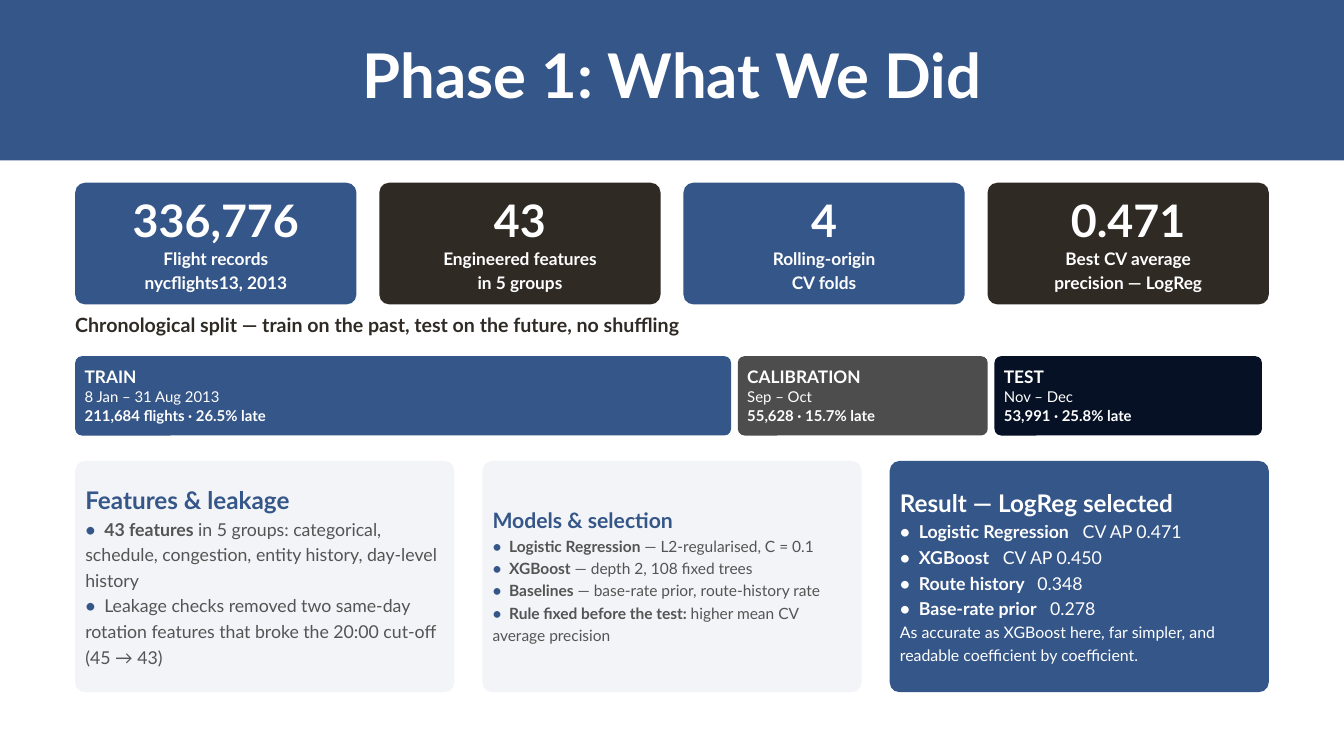
from lxml import etree
from pptx import Presentation
from pptx.dml.color import RGBColor
from pptx.enum.shapes import MSO_SHAPE
from pptx.enum.text import MSO_ANCHOR, PP_ALIGN
from pptx.oxml.ns import qn
from pptx.util import Pt

RECTANGLE, ROUNDED = MSO_SHAPE.RECTANGLE, MSO_SHAPE.ROUNDED_RECTANGLE
LEFT, CENTER = PP_ALIGN.LEFT, PP_ALIGN.CENTER
TOP, MIDDLE = MSO_ANCHOR.TOP, MSO_ANCHOR.MIDDLE

BLUE, BROWN, GREY, NAVY = "355688", "2F2A24", "4D4D4D", "071125"
WHITE, PALE, BODY = "FFFFFF", "F3F4F7", "545454"
SLIDE_WIDTH, SLIDE_HEIGHT = 1440, 810
MARGIN = 80.6
CONTENT_WIDTH = SLIDE_WIDTH - 2 * MARGIN
CORNER_INSET = 0.29

TITLE = "Phase 1: What We Did"
SPLIT_HEADING = "Chronological split — train on the past, test on the future, no shuffling"

CARDS = [
    ("336,776", "Flight records", "nycflights13, 2013", BLUE),
    ("43", "Engineered features", "in 5 groups", BROWN),
    ("4", "Rolling-origin", "CV folds", BLUE),
    ("0.471", "Best CV average", "precision — LogReg", BROWN),
]
SPLITS = [
    ("TRAIN", "8 Jan – 31 Aug 2013", "211,684 flights · 26.5% late", BLUE, 702.7),
    ("CALIBRATION", "Sep – Oct", "55,628 · 15.7% late", GREY, 267.8),
    ("TEST", "Nov – Dec", "53,991 · 25.8% late", NAVY, 286.6),
]
PANELS = [
    {
        "heading": "Features & leakage", "heading_size": 26, "heading_line": 34.3,
        "size": 19, "line": 27.4, "fill": PALE, "accent": BLUE, "color": BODY,
        "bullets": [
            ("43 features", " in 5 groups: categorical, schedule, congestion, "
             "entity history, day-level history", None),
            ("", "Leakage checks removed two same-day rotation features that "
             "broke the 20:00 cut-off (45 → 43)", None),
        ],
        "closing": "",
    },
    {
        "heading": "Models & selection", "heading_size": 22.7, "heading_line": 30,
        "size": 16.6, "line": 23.9, "fill": PALE, "accent": BLUE, "color": BODY,
        "bullets": [
            ("Logistic Regression", " — L2-regularised, C = 0.1", None),
            ("XGBoost", " — depth 2, 108 fixed trees", None),
            ("Baselines", " — base-rate prior, route-history rate", None),
            ("Rule fixed before the test:", " higher mean CV average precision", None),
        ],
        "closing": "",
    },
    {
        "heading": "Result — LogReg selected", "heading_size": 26, "heading_line": 34.3,
        "size": 19, "line": 27.4, "fill": BLUE, "accent": WHITE, "color": WHITE,
        "bullets": [
            ("Logistic Regression", "CV AP 0.471", 196),
            ("XGBoost", "CV AP 0.450", 110.5),
            ("Route history", "0.348", 147.5),
            ("Base-rate prior", "0.278", 161),
        ],
        "closing": "As accurate as XGBoost here, far simpler, and readable "
                   "coefficient by coefficient.",
    },
]


def rgb(color):
    return RGBColor.from_string(color)


def add_block(slide, kind, left, top, width, height, fill, radius=0):
    shape = slide.shapes.add_shape(kind, Pt(left), Pt(top), Pt(width), Pt(height))
    shape.shadow.inherit = False
    shape.fill.solid()
    shape.fill.fore_color.rgb = rgb(fill)
    shape.line.fill.background()
    if radius:
        shape.adjustments[0] = radius / min(width, height)
    return shape


def prepare_frame(shape, anchor, side=0, bottom=0):
    frame = shape.text_frame
    frame.word_wrap = True
    frame.vertical_anchor = anchor
    frame.margin_left = frame.margin_right = Pt(side)
    frame.margin_top, frame.margin_bottom = Pt(0), Pt(bottom)
    return frame


def add_card(slide, left, top, width, height, fill, radius, inset, lift):
    shape = add_block(slide, ROUNDED, left, top, width, height, fill, radius)
    return prepare_frame(shape, MIDDLE, inset - CORNER_INSET * radius, lift)


def add_text(slide, top, height):
    box = slide.shapes.add_textbox(Pt(MARGIN), Pt(top), Pt(CONTENT_WIDTH), Pt(height))
    return prepare_frame(box, TOP)


def add_paragraph(frame, runs, size, line, color, bold=None, align=LEFT, tabs=()):
    first = frame.paragraphs[0]
    paragraph = frame.add_paragraph() if first.runs else first
    paragraph.alignment = align
    paragraph.line_spacing = Pt(line)
    if tabs:
        properties = paragraph._p.get_or_add_pPr()
        tab_list = etree.SubElement(properties, qn("a:tabLst"))
        for position in tabs:
            etree.SubElement(tab_list, qn("a:tab"), pos=str(Pt(position)), algn="l")
    font = paragraph.font
    font.name, font.size, font.bold = "Lato", Pt(size), bold
    font.color.rgb = rgb(color)
    for text, run_color, run_bold in runs:
        run = paragraph.add_run()
        run.text = text
        if run_color != color:
            run.font.color.rgb = rgb(run_color)
        if run_bold != bold:
            run.font.bold = run_bold


def add_line(frame, text, size, line, color, bold, align=LEFT):
    add_paragraph(frame, [(text, color, bold)], size, line, color, bold, align)


def add_bullet(frame, panel, strong, plain, value_tab):
    color, size = panel["color"], panel["size"]
    runs = [("•\t", panel["accent"], True)]
    if strong:
        runs.append((strong, color, True))
    runs.append(("\t" + plain if value_tab else plain, color, False))
    tabs = [1.07 * size] + ([value_tab] if value_tab else [])
    add_paragraph(frame, runs, size, panel["line"], color, tabs=tabs)


def main():
    presentation = Presentation()
    presentation.slide_width, presentation.slide_height = Pt(SLIDE_WIDTH), Pt(SLIDE_HEIGHT)
    slide = presentation.slides.add_slide(presentation.slide_layouts[6])

    add_block(slide, RECTANGLE, 0, 0, SLIDE_WIDTH, 172, BLUE)
    add_line(add_text(slide, 33.1, 103.7), TITLE, 66, 85.5, WHITE, True, CENTER)

    gap = 24.6
    width = (CONTENT_WIDTH - gap * (len(CARDS) - 1)) / len(CARDS)
    for index, (number, *labels, fill) in enumerate(CARDS):
        left = MARGIN + index * (width + gap)
        frame = add_card(slide, left, 195.8, width, 130.3, fill, 10.4, 5.8, 5)
        add_line(frame, number, 48, 60.5, WHITE, True, CENTER)
        for label in labels:
            add_line(frame, label, 18.5, 24.9, WHITE, True, CENTER)

    add_line(add_text(slide, 329.8, 41), SPLIT_HEADING, 21, 30.7, BROWN, True)

    left = MARGIN
    for name, period, counts, fill, width in SPLITS:
        frame = add_card(slide, left, 381.6, width, 85, fill, 7.2, 10.1, 2.2)
        add_line(frame, name, 18.5, 23.5, WHITE, True)
        add_line(frame, period, 16, 20.4, WHITE, False)
        add_line(frame, counts, 16, 20.4, WHITE, True)
        left += width + 7.2

    gap = 30.2
    width = (CONTENT_WIDTH - gap * (len(PANELS) - 1)) / len(PANELS)
    for index, panel in enumerate(PANELS):
        left = MARGIN + index * (width + gap)
        frame = add_card(slide, left, 493.9, width, 247.7, panel["fill"], 10.4, 10.8, 3.5)
        add_line(frame, panel["heading"], panel["heading_size"], panel["heading_line"],
                 panel["accent"], True)
        for bullet in panel["bullets"]:
            add_bullet(frame, panel, *bullet)
        if panel["closing"]:
            add_line(frame, panel["closing"], 17, 24.5, panel["color"], False)

    presentation.save("out.pptx")


if __name__ == "__main__":
    main()
